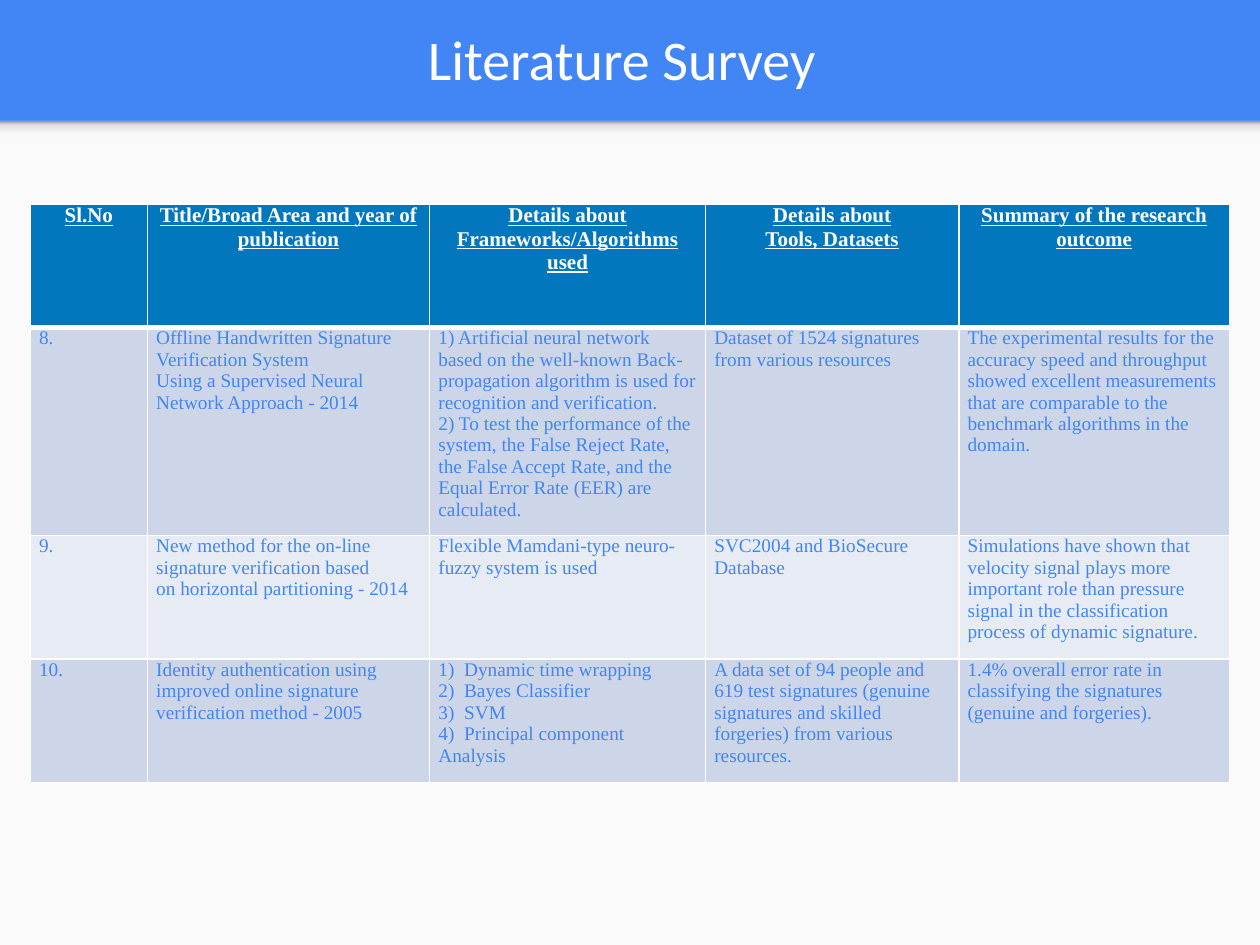
import copy
import dataclasses

import pptx
import pptx.dml.color
import pptx.enum.shapes
import pptx.enum.text
import pptx.oxml
import pptx.oxml.ns
import pptx.util
from pptx.util import Inches


@dataclasses.dataclass(frozen=True)
class Theme:
    blue: str = "4285F4"
    panel: str = "FAFAFA"
    white: str = "FFFFFF"
    header: str = "0277BD"
    bands: tuple = ("CCD6E8", "E7ECF4")
    shadow: tuple = ((0, "F9F9F9"), (36, "F9F9F9"), (80, "DEDEDE"), (100, "999999"))
    title_font: str = "Calibri"
    table_font: str = "Times New Roman"
    title_size: int = 32
    header_size: int = 12
    body_size: int = 11


HEADERS = [
    "Sl.No",
    "Title/Broad Area and year of publication",
    "Details about Frameworks/Algorithms used",
    "Details about\nTools, Datasets",
    "Summary of the research outcome",
]
SURVEY = [
    [
        "8.",
        "Offline Handwritten Signature Verification System\n"
        "Using a Supervised Neural Network Approach - 2014",
        "1) Artificial neural network based on the well-known Back-propagation "
        "algorithm is used for recognition and verification.\n"
        "2) To test the performance of the system, the False Reject Rate, "
        "the False Accept Rate, and the Equal Error Rate (EER) are calculated.",
        "Dataset of 1524 signatures from various resources",
        "The experimental results for the accuracy speed and throughput showed "
        "excellent measurements that are comparable to the benchmark algorithms "
        "in the domain.",
    ],
    [
        "9.",
        "New method for the on-line signature verification based\n"
        "on horizontal partitioning - 2014",
        "Flexible Mamdani-type neuro-fuzzy system is used",
        "SVC2004 and BioSecure Database",
        "Simulations have shown that velocity signal plays more important role "
        "than pressure signal in the classification process of dynamic signature.",
    ],
    [
        "10.",
        "Identity authentication using improved online signature verification "
        "method - 2005",
        "1)  Dynamic time wrapping\n2)  Bayes Classifier\n3)  SVM\n"
        "4)  Principal component  Analysis",
        "A data set of 94 people and 619 test signatures (genuine signatures "
        "and skilled forgeries) from various resources.",
        "1.4% overall error rate in classifying the signatures "
        "(genuine and forgeries).",
    ],
]


class SlideBuilder:
    """Draws styled elements on the current slide."""

    def __init__(self, slide, theme):
        self.slide = slide
        self.theme = theme

    def color(self, value):
        return pptx.dml.color.RGBColor.from_string(value)

    def background(self, color):
        fill = self.slide.background.fill
        fill.solid()
        fill.fore_color.rgb = self.color(color)

    def rectangle(self, left, top, width, height):
        shape = self.slide.shapes.add_shape(
            pptx.enum.shapes.MSO_SHAPE.RECTANGLE,
            Inches(left), Inches(top), Inches(width), Inches(height))
        shape.shadow.inherit = False
        shape.line.fill.background()
        return shape

    def panel(self, left, top, width, height, color):
        shape = self.rectangle(left, top, width, height)
        shape.fill.solid()
        shape.fill.fore_color.rgb = self.color(color)

    def gradient_band(self, left, top, width, height, stops):
        shape = self.rectangle(left, top, width, height)
        shape.fill.gradient()
        shape.fill.gradient_angle = 90
        stop_list = shape._element.spPr.find(".//" + pptx.oxml.ns.qn("a:gsLst"))
        while len(stop_list) < len(stops):
            stop_list.append(copy.deepcopy(stop_list[0]))
        for stop, (percent, color) in zip(shape.fill.gradient_stops, stops):
            stop.position = percent / 100
            stop.color.rgb = self.color(color)

    def format_text(self, text_frame, font, size, color, centered=False, heading=False):
        for paragraph in text_frame.paragraphs:
            if centered:
                paragraph.alignment = pptx.enum.text.PP_ALIGN.CENTER
            for run in paragraph.runs:
                run.font.name = font
                run.font.size = pptx.util.Pt(size)
                run.font.color.rgb = self.color(color)
                run.font.bold = heading
                run.font.underline = heading

    def title(self, text, left, top, width, height):
        shape = self.slide.shapes.add_textbox(
            Inches(left), Inches(top), Inches(width), Inches(height))
        text_frame = shape.text_frame
        text_frame.word_wrap = True
        text_frame.vertical_anchor = pptx.enum.text.MSO_ANCHOR.MIDDLE
        text_frame.text = text
        self.format_text(text_frame, self.theme.title_font, self.theme.title_size,
                         self.theme.white, centered=True)

    def borders(self, cell, bottom_width):
        properties = cell._tc.get_or_add_tcPr()
        widths = {"lnL": 1, "lnR": 1, "lnT": 1, "lnB": bottom_width}
        for index, (side, width) in enumerate(widths.items()):
            properties.insert(index, pptx.oxml.parse_xml(
                f'<a:{side} {pptx.oxml.ns.nsdecls("a")} w="{pptx.util.Pt(width)}">'
                f'<a:solidFill><a:srgbClr val="{self.theme.white}"/></a:solidFill>'
                f'</a:{side}>'))

    def table(self, rows, left, top, column_widths, row_heights):
        table = self.slide.shapes.add_table(
            len(rows), len(column_widths), Inches(left), Inches(top),
            Inches(sum(column_widths)), Inches(sum(row_heights))).table
        for column, width in zip(table.columns, column_widths):
            column.width = Inches(width)
        for row, height in zip(table.rows, row_heights):
            row.height = Inches(height)
        for row_index, texts in enumerate(rows):
            for column_index, text in enumerate(texts):
                self.cell(table.cell(row_index, column_index), text, row_index)

    def cell(self, cell, text, row_index):
        theme = self.theme
        heading = row_index == 0
        cell.margin_left = cell.margin_right = Inches(0.07)
        cell.margin_top = cell.margin_bottom = 0
        cell.fill.solid()
        cell.fill.fore_color.rgb = self.color(
            theme.header if heading else theme.bands[(row_index - 1) % 2])
        self.borders(cell, 3 if heading else 1)
        cell.text_frame.text = text
        self.format_text(cell.text_frame, theme.table_font,
                         theme.header_size if heading else theme.body_size,
                         theme.white if heading else theme.blue,
                         centered=heading, heading=heading)


def main():
    theme = Theme()
    presentation = pptx.Presentation()
    presentation.slide_width = Inches(10)
    presentation.slide_height = Inches(7.5)
    slide = presentation.slides.add_slide(presentation.slide_layouts[6])
    builder = SlideBuilder(slide, theme)
    builder.background(theme.blue)
    builder.panel(0, 0.96, 10, 6.54, theme.panel)
    builder.gradient_band(0, 0.96, 10, 0.16, theme.shadow)
    builder.title("Literature Survey", 0.11, 0.02, 9.65, 0.88)
    builder.table([HEADERS, *SURVEY], 0.24, 1.62,
                  [0.93, 2.24, 2.19, 2.01, 2.15], [0.98, 1.53, 0.98, 0.98])
    presentation.save("out.pptx")


if __name__ == "__main__":
    main()
